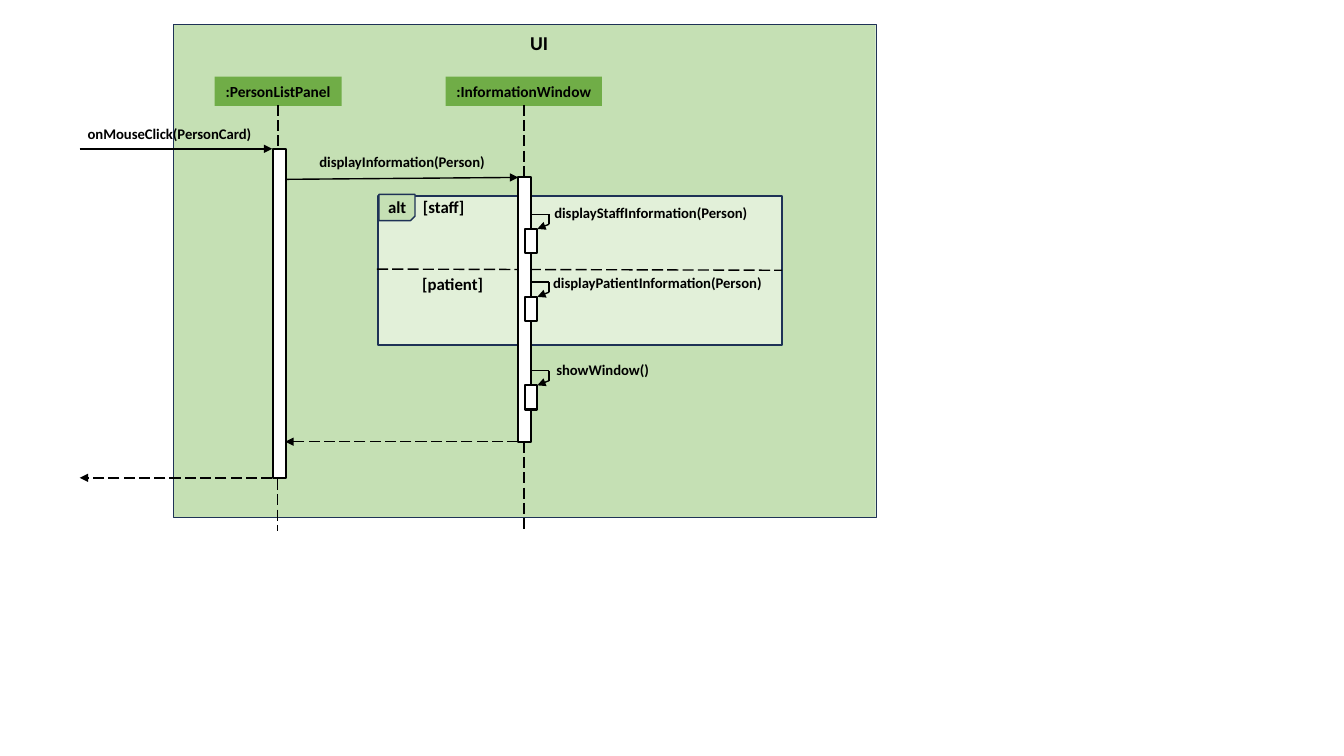
from lxml.etree import SubElement
from pptx import Presentation
from pptx.dml.color import RGBColor
from pptx.enum.dml import MSO_LINE_DASH_STYLE as Dash
from pptx.enum.shapes import MSO_CONNECTOR as Connector, MSO_SHAPE as Shape
from pptx.enum.text import MSO_ANCHOR as Anchor, MSO_AUTO_SIZE as AutoSize, PP_ALIGN as Align
from pptx.oxml.ns import qn
from pptx.util import Cm, Pt

COLORS = {
    "frame": "C5E0B4", "header": "70AD47", "alt": "E2F0D9",
    "border": "1E3256", "black": "000000", "white": "FFFFFF",
}


def rgb(name):
    return RGBColor.from_string(COLORS[name])


def write_text(frame, text, size=10.5, align=Align.LEFT, wrap=True, font="Calibri"):
    frame.word_wrap = wrap
    frame.auto_size = AutoSize.SHAPE_TO_FIT_TEXT
    para = frame.paragraphs[0]
    para.alignment = align
    span = para.add_run()
    span.text = text
    span.font.name, span.font.size, span.font.bold = font, Pt(size), True
    span.font.color.rgb = rgb("black")


class SequenceDiagram:
    def __init__(self, page):
        self.page = page

    def block(self, left, top, width, height, fill, line=None, weight=1.5, kind=Shape.RECTANGLE):
        box = self.page.shapes.add_shape(kind, Cm(left), Cm(top), Cm(width), Cm(height))
        box.shadow.inherit = False
        box.fill.solid()
        box.fill.fore_color.rgb = rgb(fill)
        if line:
            box.line.color.rgb = rgb(line)
            box.line.width = Pt(weight)
        else:
            box.line.fill.background()
        return box

    def header(self, left, width, text):
        box = self.block(left, 1.93, width, 0.74, "header")
        box.text_frame.vertical_anchor = Anchor.MIDDLE
        write_text(box.text_frame, text, size=11, align=Align.CENTER, wrap=False)

    def activation(self, left, top, width, height):
        self.block(left, top, width, height, "white", "black")

    def label(self, left, top, width, height, text, **style):
        box = self.page.shapes.add_textbox(Cm(left), Cm(top), Cm(width), Cm(height))
        write_text(box.text_frame, text, **style)

    def line(self, start, end, dashed=False, arrow=False):
        link = self.page.shapes.add_connector(
            Connector.STRAIGHT, *(Cm(value) for value in (*start, *end)))
        link.line.color.rgb = rgb("black")
        link.line.width = Pt(1)
        if dashed:
            link.line.dash_style = Dash.LONG_DASH
        if arrow:
            SubElement(link.line._get_or_add_ln(), qn("a:tailEnd"), type="triangle")
        SubElement(link._element.spPr, qn("a:effectLst"))

    def self_call(self, top, left, label_top, width, text):
        self.activation(13.23, top, 0.3, 0.61)
        points = [(13.36, top - 0.37), (13.84, top - 0.37), (13.84, top - 0.12), (13.54, top)]
        for start, end in zip(points, points[1:]):
            self.line(start, end, arrow=end == points[-1])
        self.label(left, label_top, width, 0.71, text)


deck = Presentation()
deck.slide_width, deck.slide_height = Cm(33.87), Cm(19.05)
diagram = SequenceDiagram(deck.slides.add_slide(deck.slide_layouts[6]))

# Frame and participants
diagram.block(4.37, 0.61, 17.7, 12.42, "frame", "border", 0.25)
diagram.label(13.11, 0.66, 0.97, 0.86, "UI", size=14, wrap=False)
diagram.header(5.41, 3.2, ":PersonListPanel")
diagram.header(11.23, 3.94, ":InformationWindow")

# Lifelines
for x, top, bottom in [(7.01, 2.64, 3.73), (6.99, 12.07, 13.39),
                       (13.21, 2.64, 4.47), (13.21, 11.13, 13.39)]:
    diagram.line((x, top), (x, bottom), dashed=True)

# Alternative block
diagram.block(9.53, 4.93, 10.19, 3.76, "alt", "border")
tab = diagram.block(9.55, 4.9, 0.91, 0.66, "frame", "border", 1, Shape.SNIP_1_RECTANGLE)
tab._element.spPr.find(qn("a:xfrm")).set("flipV", "1")
diagram.line((9.5, 6.78), (19.71, 6.81), dashed=True)
for left, top, width, text in [(9.53, 4.83, 0.97, "alt"), (10.41, 4.83, 1.57, "[staff]"),
                               (10.39, 6.78, 2.06, "[patient]")]:
    diagram.label(left, top, width, 0.76, text, size=12, wrap=False)

# Activation bars
diagram.activation(6.88, 3.76, 0.32, 8.28)
diagram.activation(13.06, 4.47, 0.33, 6.66)

# Calls between participants
diagram.line((2.01, 3.75), (6.86, 3.75), arrow=True)
diagram.label(1.96, 3.02, 4.85, 0.74, "onMouseClick(PersonCard)")
diagram.line((7.19, 4.52), (13.06, 4.47), arrow=True)
diagram.label(7.8, 3.73, 5.56, 0.71, "displayInformation(Person)")

# Calls of the window to itself
for call in [(5.77, 13.72, 5.0, 5.56, "displayStaffInformation(Person)"),
             (7.48, 13.69, 6.78, 6.02, "displayPatientInformation(Person)"),
             (9.71, 13.77, 8.97, 3.1, "showWindow()")]:
    diagram.self_call(*call)

# Returns
diagram.line((13.06, 11.13), (7.19, 11.13), dashed=True, arrow=True)
diagram.line((6.86, 12.04), (2.01, 12.04), dashed=True, arrow=True)

deck.save("out.pptx")
